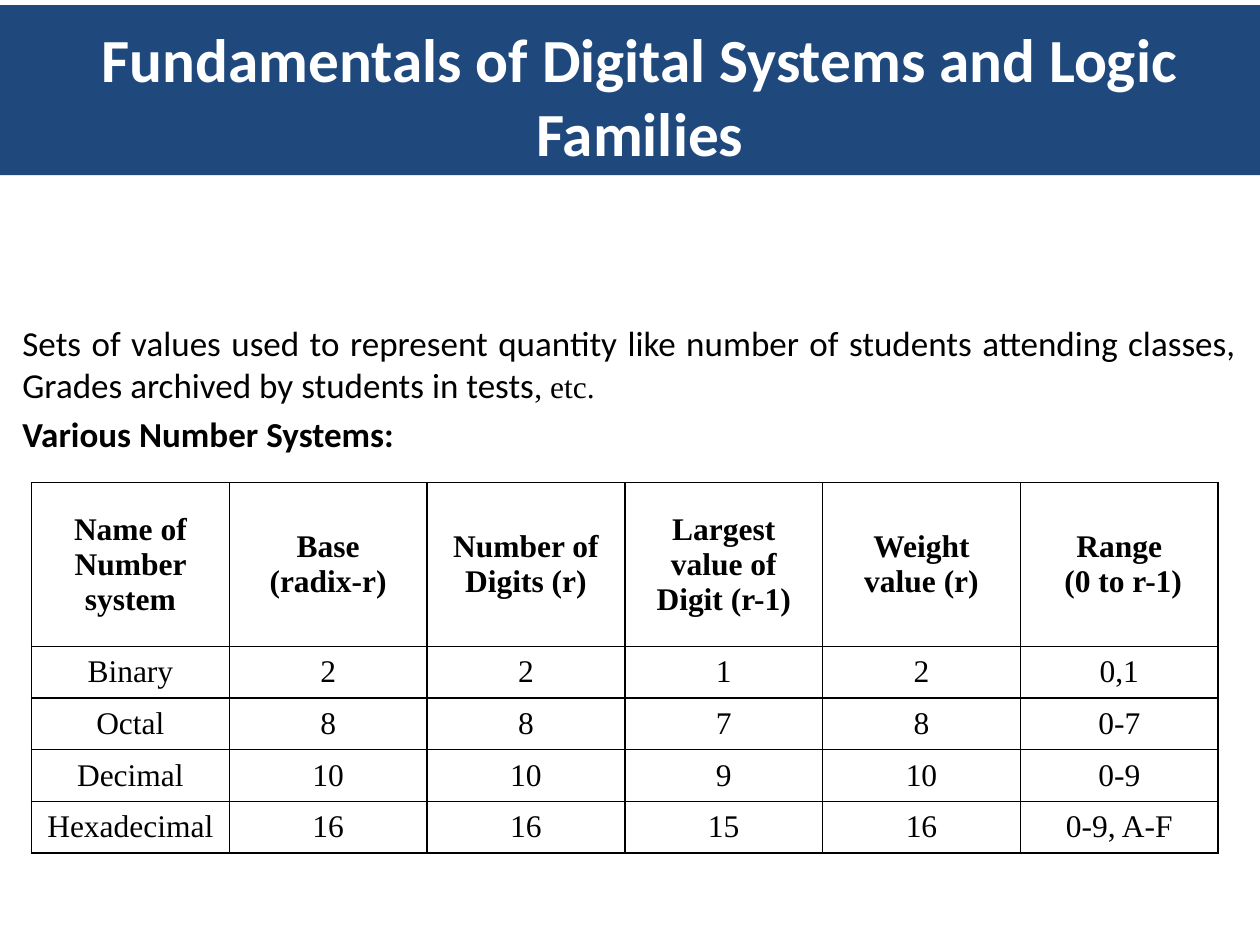
from lxml.etree import SubElement
from pptx import Presentation
from pptx.dml.color import RGBColor
from pptx.enum.shapes import MSO_SHAPE
from pptx.enum.text import MSO_ANCHOR, PP_ALIGN
from pptx.oxml.ns import qn
from pptx.util import Inches, Pt

BLACK, WHITE, NAVY = "000000", "FFFFFF", "1F497D"
SANS, SERIF = "Calibri", "Times New Roman"

HEAD = ["Name of Number system", "Base\n(radix-r)", "Number of Digits (r)",
        "Largest value of Digit (r-1)", "Weight value (r)", "Range\n (0 to r-1)"]
SYSTEMS = [
    ["Binary", "2", "2", "1", "2", "0,1"],
    ["Octal", "8", "8", "7", "8", "0-7"],
    ["Decimal", "10", "10", "9", "10", "0-9"],
    ["Hexadecimal", "16", "16", "15", "16", "0-9, A-F"],
]


def color(code):
    return RGBColor.from_string(code)


def style(run, size, face, code=BLACK, bold=False):
    font = run.font
    font.size, font.name, font.bold = Pt(size), face, bold
    font.color.rgb = color(code)


def add_text(slide, left, top, width, height):
    box = slide.shapes.add_textbox(Inches(left), Inches(top), Inches(width), Inches(height))
    box.text_frame.word_wrap = True
    return box.text_frame


def add_title(slide, left, top, width, height):
    band = slide.shapes.add_shape(MSO_SHAPE.RECTANGLE, Inches(left), Inches(top),
                                  Inches(width), Inches(height))
    band.shadow.inherit = False
    band.fill.solid()
    band.fill.fore_color.rgb = color(NAVY)
    band.line.fill.background()

    frame = add_text(slide, left + 0.08, top + 0.06, width, height - 0.04)
    frame.vertical_anchor = MSO_ANCHOR.MIDDLE
    frame.text = "Fundamentals of Digital Systems and Logic Families"
    para = frame.paragraphs[0]
    para.alignment = PP_ALIGN.CENTER
    style(para.runs[0], 35, SANS, WHITE, True)


def add_body(slide, left, top, width, height):
    frame = add_text(slide, left, top, width, height)
    intro = frame.paragraphs[0]
    intro.text = ("Sets of values used to represent quantity like number of students "
                  "attending classes, Grades archived by students in tests")
    style(intro.runs[0], 20, SANS)
    tail = intro.add_run()
    tail.text = ", etc. "
    style(tail, 18, SERIF)

    label = frame.add_paragraph()
    label.text = "Various Number Systems:"
    style(label.runs[0], 20, SANS, bold=True)
    for para in frame.paragraphs:
        para.alignment = PP_ALIGN.JUSTIFY
        para.space_before = Pt(4)


def add_border(cell):
    props = cell._tc.get_or_add_tcPr()
    for place, side in enumerate(("a:lnL", "a:lnR", "a:lnT", "a:lnB")):
        line = SubElement(props, qn(side), w=str(Pt(1)))
        fill = SubElement(line, qn("a:solidFill"))
        SubElement(fill, qn("a:srgbClr"), val=BLACK)
        props.insert(place, line)  # borders must precede the cell fill


def fill_cell(cell, text, bold):
    cell.fill.background()
    cell.vertical_anchor = MSO_ANCHOR.MIDDLE
    cell.text_frame.text = text
    for para in cell.text_frame.paragraphs:
        para.alignment = PP_ALIGN.CENTER
        for run in para.runs:
            style(run, 18, SERIF, bold=bold)
    add_border(cell)


def add_systems(slide, left, top, width, head, step):
    rows = [HEAD] + SYSTEMS
    height = head + step * len(SYSTEMS)
    table = slide.shapes.add_table(len(rows), len(HEAD), Inches(left), Inches(top),
                                   Inches(width), Inches(height)).table
    table.first_row = table.horz_banding = False
    for col in table.columns:
        col.width = Inches(width / len(HEAD))
    for r, row in enumerate(rows):
        table.rows[r].height = Inches(step if r else head)
        for c, text in enumerate(row):
            fill_cell(table.cell(r, c), text, bold=r == 0)


def main():
    deck = Presentation()
    deck.slide_width, deck.slide_height = Inches(10), Inches(7.5)
    slide = deck.slides.add_slide(deck.slide_layouts[6])
    add_body(slide, 0.08, 2.5, 9.83, 4.12)
    add_systems(slide, 0.25, 3.83, 9.42, head=1.3, step=0.41)
    add_title(slide, 0, 0.04, 10, 1.35)
    deck.save("out.pptx")


if __name__ == "__main__":
    main()
